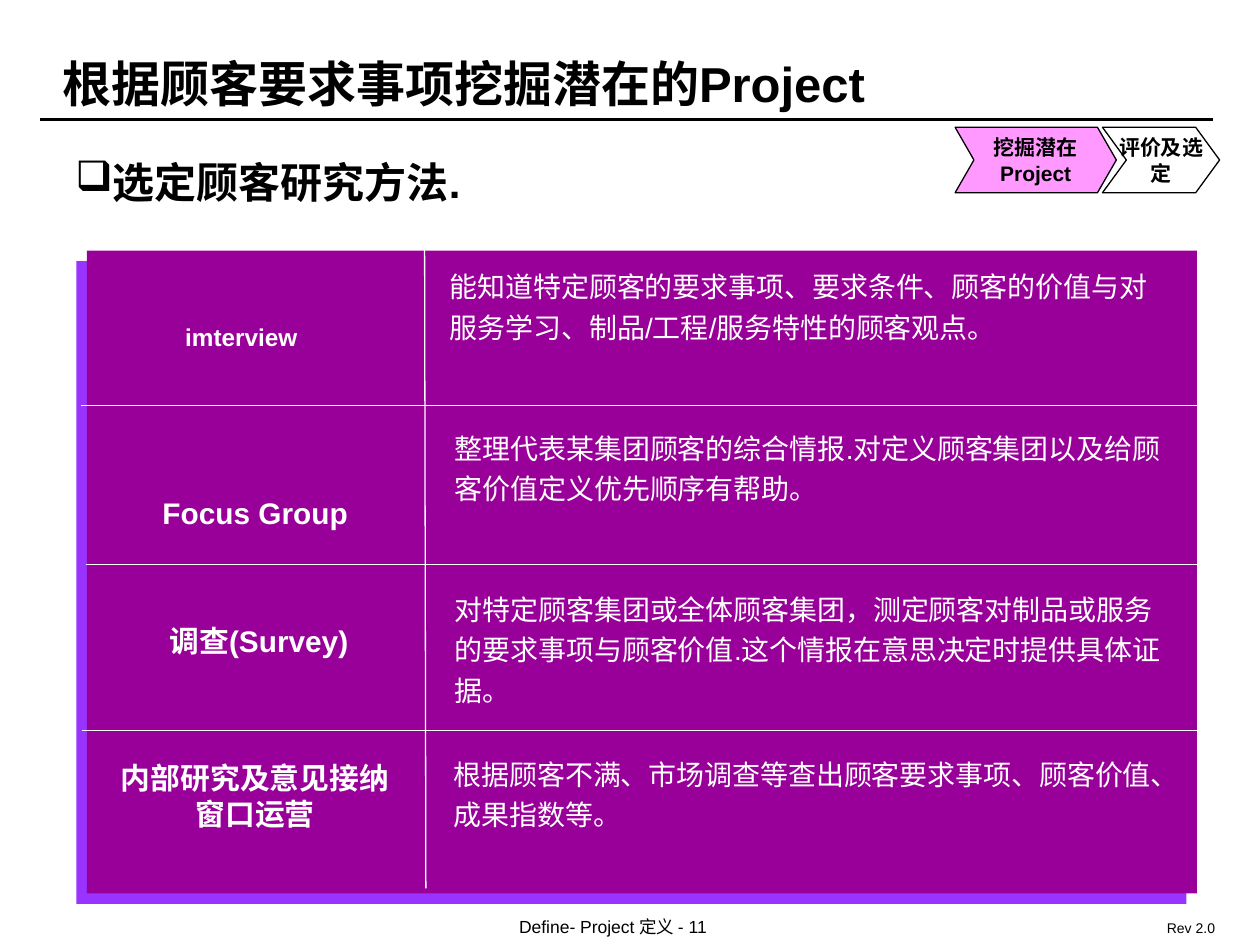
from lxml import etree
from pptx import Presentation
from pptx.dml.color import RGBColor
from pptx.enum.shapes import MSO_CONNECTOR as Connector, MSO_SHAPE as Shape
from pptx.enum.text import MSO_ANCHOR as Anchor, PP_ALIGN as Align
from pptx.oxml.ns import qn
from pptx.util import Inches, Pt

deck = Presentation()
deck.slide_width, deck.slide_height = Inches(10), Inches(7.5)
slide = deck.slides.add_slide(deck.slide_layouts[6])
shapes = slide.shapes
COL, ROW = deck.slide_width / 100, deck.slide_height / 75


def color(hex_code):
    return RGBColor.from_string(hex_code)


def write(area, lines, size, ink="000000", bold=False, align=Align.LEFT,
          spacing=None, side=0.12, wrap=True, anchor=Anchor.TOP):
    if len(area) == 4:
        x, y, w, h = area
        frame = shapes.add_textbox(
            round(x * COL), round(y * ROW), round(w * COL), round(h * ROW)).text_frame
    else:
        frame = area[0].text_frame
    frame.margin_left = frame.margin_right = Inches(side)
    frame.margin_top = frame.margin_bottom = Inches(0.06)
    frame.word_wrap = wrap
    frame.vertical_anchor = anchor
    for index, line in enumerate(lines):
        paragraph = frame.add_paragraph() if index else frame.paragraphs[0]
        paragraph.alignment = align
        if spacing:
            paragraph.line_spacing = spacing
        run = paragraph.add_run()
        run.text = line
        run.font.name = "Arial"
        run.font.size = Pt(size)
        run.font.bold = bold
        run.font.color.rgb = color(ink)
    return frame.paragraphs[0]


write((40, 72.1, 22.9, 2.9), ["Define- Project 定义 - 11"], 10, wrap=False)
write((91.4, 72.4, 8.1, 2.5), ["Rev 2.0"], 8)
write((3.8, 2.7, 92.6, 6.8), ["根据顾客要求事项挖掘潜在的Project"], 28, bold=True, spacing=1.2)

subtitle = write((5, 11.8, 53.8, 5.4), ["选定顾客研究方法."], 24, bold=True, side=0.1)
bullet_props = subtitle._p.get_or_add_pPr()
bullet_props.set("marL", "0")
bullet_props.set("indent", "0")
etree.SubElement(bullet_props, qn("a:buChar")).set("char", "❑")

panel = shapes.add_shape(Shape.RECTANGLE, round(6.9 * COL), round(19.9 * ROW),
                         round(88.1 * COL), round(51 * ROW))
panel.fill.solid()
panel.fill.fore_color.rgb = color("990099")
panel.line.fill.background()
panel.shadow.inherit = False
effects = panel._element.spPr.find(qn("a:effectLst"))
shadow = etree.SubElement(effects, qn("a:outerShdw"), dist=str(Pt(8.5)),
                          dir="8100000", algn="ctr", rotWithShape="0")
etree.SubElement(shadow, qn("a:srgbClr"), val="9933FF")

rules = [
    (3.2, 9.5, 96.3, 9.5, "000000", 1.5),
    (6.4, 32.2, 96.2, 32.2, "FFFFFF", 0.75),
    (6.8, 44.8, 96.6, 44.8, "FFFFFF", 0.75),
    (6.5, 58, 96.4, 58, "FFFFFF", 0.75),
    (33.7, 19.3, 33.8, 70.5, "FFFFFF", 0.75),
]
for x1, y1, x2, y2, ink, weight in rules:
    rule = shapes.add_connector(Connector.STRAIGHT, round(x1 * COL), round(y1 * ROW),
                                round(x2 * COL), round(y2 * ROW))
    rule.line.color.rgb = color(ink)
    rule.line.width = Pt(weight)
    etree.SubElement(rule._element.spPr, qn("a:effectLst"))

methods = [
    ((8.3, 38.7, 23.9, 4), "Focus Group"),
    ((9.9, 48.8, 21.3, 4), "调查(Survey)"),
    ((7.7, 59.7, 25.1, 6.8), "内部研究及意见接纳 窗口运营"),
]
for area, method in methods:
    write(area, [method], 17, "FFFFFF", bold=True, align=Align.CENTER, side=0.11)

interview = write((13.5, 24.6, 15.4, 5.2), ["imterview"], 24, "FFFFFF", bold=True)
interview.runs[0]._r.get_or_add_rPr().set("baseline", "30000")

descriptions = [
    ((34.6, 20.3, 59.6, 7.5), "能知道特定顾客的要求事项、要求条件、顾客的价值与对服务学习、制品/工程/服务特性的顾客观点。"),
    ((35, 33.1, 59.6, 7.5), "整理代表某集团顾客的综合情报.对定义顾客集团以及给顾客价值定义优先顺序有帮助。"),
    ((35, 45.9, 59.6, 10.7), "对特定顾客集团或全体顾客集团，测定顾客对制品或服务的要求事项与顾客价值.这个情报在意思决定时提供具体证据。"),
    ((34.9, 59, 60.6, 7.5), "根据顾客不满、市场调查等查出顾客要求事项、顾客价值、 成果指数等。"),
]
for area, description in descriptions:
    write(area, [description], 16, "FFFFFF", spacing=1.2, side=0.11)

steps = [
    (75.8, 12.8, 1.5, "FF99FF", ["挖掘潜在", "Project"], 0),
    (87.5, 9.3, 1.9, "FFFFFF", ["评价及选定"], 0.12),
]
top, middle, bottom = 10.1, 12.7, 15.3
for left, width, point, fill, lines, side in steps:
    right = left + width
    outline = [(right - point, top), (right, middle), (right - point, bottom),
               (left, bottom), (left + point, middle)]
    builder = shapes.build_freeform(round(left * COL), round(top * ROW))
    builder.add_line_segments([(round(x * COL), round(y * ROW)) for x, y in outline], close=True)
    step = builder.convert_to_shape()
    step.fill.solid()
    step.fill.fore_color.rgb = color(fill)
    step.line.color.rgb = color("000000")
    step.line.width = Pt(0.75)
    step.shadow.inherit = False
    write([step], lines, 12, bold=True, align=Align.CENTER, side=side, anchor=Anchor.MIDDLE)

deck.save("out.pptx")
